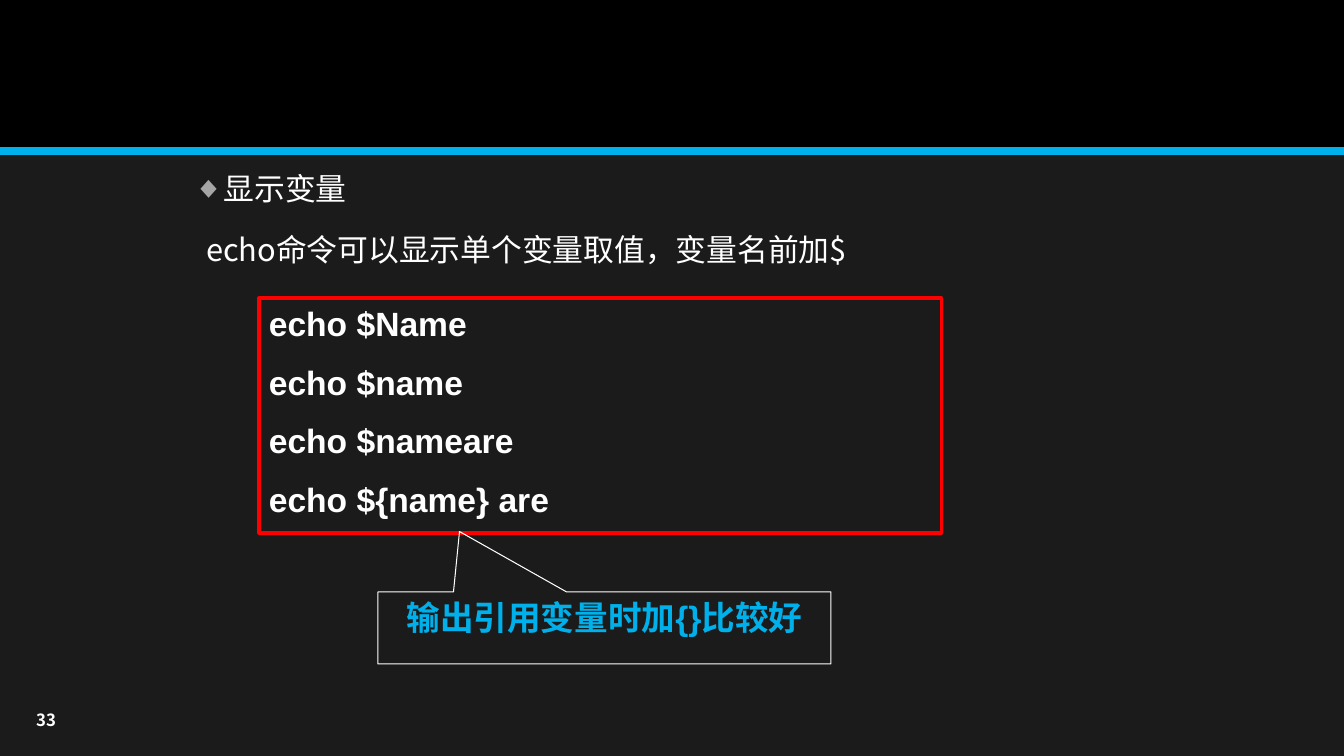
from dataclasses import dataclass
from typing import Any, Optional

from lxml.etree import SubElement
from pptx import Presentation
from pptx.dml.color import RGBColor
from pptx.enum.shapes import MSO_CONNECTOR, MSO_SHAPE
from pptx.enum.text import MSO_ANCHOR, PP_ALIGN
from pptx.oxml.ns import qn
from pptx.util import Emu, Pt

PIXEL = 9071
BLACK = RGBColor(0x00, 0x00, 0x00)
CHARCOAL = RGBColor(0x1B, 0x1B, 0x1B)
SKY = RGBColor(0x00, 0xB0, 0xEA)
RED = RGBColor(0xFF, 0x00, 0x00)
WHITE = RGBColor(0xFF, 0xFF, 0xFF)
BULLET_GREY = RGBColor(0xA6, 0xA6, 0xA6)
CJK_FONT = "Noto Sans CJK SC"
LATIN_FONT = "Arial"


@dataclass(frozen=True)
class Panel:
    """A preset shape with its place in pixels, colours and text."""

    kind: MSO_SHAPE
    box: tuple[int, int, int, int]
    fill: Optional[RGBColor] = None
    line: Optional[RGBColor] = None
    line_width: float = 0
    adjustments: tuple[float, ...] = ()
    lines: tuple[str, ...] = ()
    text_color: RGBColor = WHITE
    alignment: PP_ALIGN = PP_ALIGN.LEFT


PANELS = (
    Panel(MSO_SHAPE.RECTANGLE, (0, 0, 1344, 151), fill=BLACK),
    Panel(MSO_SHAPE.RECTANGLE, (259, 298, 683, 235), line=RED, line_width=2.25,
          lines=("echo $Name", "echo $name", "echo $nameare", "echo ${name} are")),
    Panel(MSO_SHAPE.RECTANGULAR_CALLOUT, (378, 592, 453, 72), line=WHITE, line_width=0.75,
          adjustments=(-0.32, -1.34), lines=("输出引用变量时加{}比较好",),
          text_color=SKY, alignment=PP_ALIGN.CENTER),
)


def px(value: int) -> Emu:
    """Turn pixels into EMU."""
    return Emu(value * PIXEL)


def assign(target: Any, values: dict[str, Any]) -> None:
    """Set each attribute named in the format values."""
    for name, value in values.items():
        setattr(target, name, value)


def write_lines(frame: Any, lines: tuple[str, ...], font: dict[str, Any],
                paragraph_format: dict[str, Any], color: RGBColor) -> None:
    """Fill a text frame with one formatted paragraph for each line."""
    frame.text = "\n".join(lines)
    for paragraph in frame.paragraphs:
        assign(paragraph, paragraph_format)
        assign(paragraph.runs[0].font, font)
        paragraph.runs[0].font.color.rgb = color


def add_panel(slide: Any, panel: Panel) -> None:
    """Draw one panel and its text."""
    shape = slide.shapes.add_shape(panel.kind, *map(px, panel.box))
    shape.shadow.inherit = False
    for index, value in enumerate(panel.adjustments):
        shape.adjustments[index] = value
    if panel.fill is None:
        shape.fill.background()
    else:
        shape.fill.solid()
        shape.fill.fore_color.rgb = panel.fill
    if panel.line is None:
        shape.line.fill.background()
    else:
        shape.line.color.rgb = panel.line
        shape.line.width = Pt(panel.line_width)
    if panel.lines:
        shape.text_frame.vertical_anchor = MSO_ANCHOR.TOP
        write_lines(shape.text_frame, panel.lines,
                    {"name": LATIN_FONT, "size": Pt(24), "bold": True},
                    {"alignment": panel.alignment, "space_before": Pt(13)}, panel.text_color)


def add_header_rule(slide: Any) -> None:
    """Draw the blue rule below the header band."""
    rule = slide.shapes.add_connector(MSO_CONNECTOR.STRAIGHT, px(0), px(151), px(1344), px(151))
    rule.line.color.rgb = SKY
    rule.line.width = Pt(6)
    SubElement(rule._element.spPr, qn("a:effectLst"))


def set_bullet(paragraph: Any, margin: int, indent: int, character: Optional[str]) -> None:
    """Set the indents in pixels and the bullet of a paragraph."""
    properties = paragraph._p.get_or_add_pPr()
    properties.set("marL", str(px(margin)))
    properties.set("indent", str(px(indent)))
    if character is None:
        SubElement(properties, qn("a:buNone"))
        return
    color = SubElement(properties, qn("a:buClr"))
    SubElement(color, qn("a:srgbClr")).set("val", str(BULLET_GREY))
    SubElement(properties, qn("a:buChar")).set("char", character)


def fill_body(body: Any) -> None:
    """Place the body text and its bullet."""
    assign(body, dict(zip(("left", "top", "width", "height"), map(px, (183, 169, 909, 565)))))
    write_lines(body.text_frame, ("显示变量", "echo命令可以显示单个变量取值，变量名前加$"),
                {"name": CJK_FONT, "size": Pt(22)},
                {"space_before": Pt(20), "line_spacing": 0.9}, WHITE)
    heading, explanation = body.text_frame.paragraphs
    set_bullet(heading, 30, -30, "◆")
    set_bullet(explanation, 13, 0, None)


def add_page_number(slide: Any) -> None:
    """Write the page number in the lower left corner."""
    frame = slide.shapes.add_textbox(*map(px, (9, 705, 57, 30))).text_frame
    assign(frame, {"word_wrap": True, "vertical_anchor": MSO_ANCHOR.MIDDLE})
    write_lines(frame, ("33",), {"name": CJK_FONT, "size": Pt(12), "bold": True},
                {"alignment": PP_ALIGN.RIGHT}, WHITE)


def main() -> None:
    """Build the slide and save it."""
    presentation = Presentation()
    assign(presentation, {"slide_width": px(1344), "slide_height": px(756)})
    slide = presentation.slides.add_slide(presentation.slide_layouts[1])
    slide.background.fill.solid()
    slide.background.fill.fore_color.rgb = CHARCOAL
    title = slide.shapes.title._element
    title.getparent().remove(title)
    fill_body(slide.placeholders[1])
    header, *callouts = PANELS
    add_panel(slide, header)
    add_header_rule(slide)
    for panel in callouts:
        add_panel(slide, panel)
    add_page_number(slide)
    presentation.save("out.pptx")


main()
